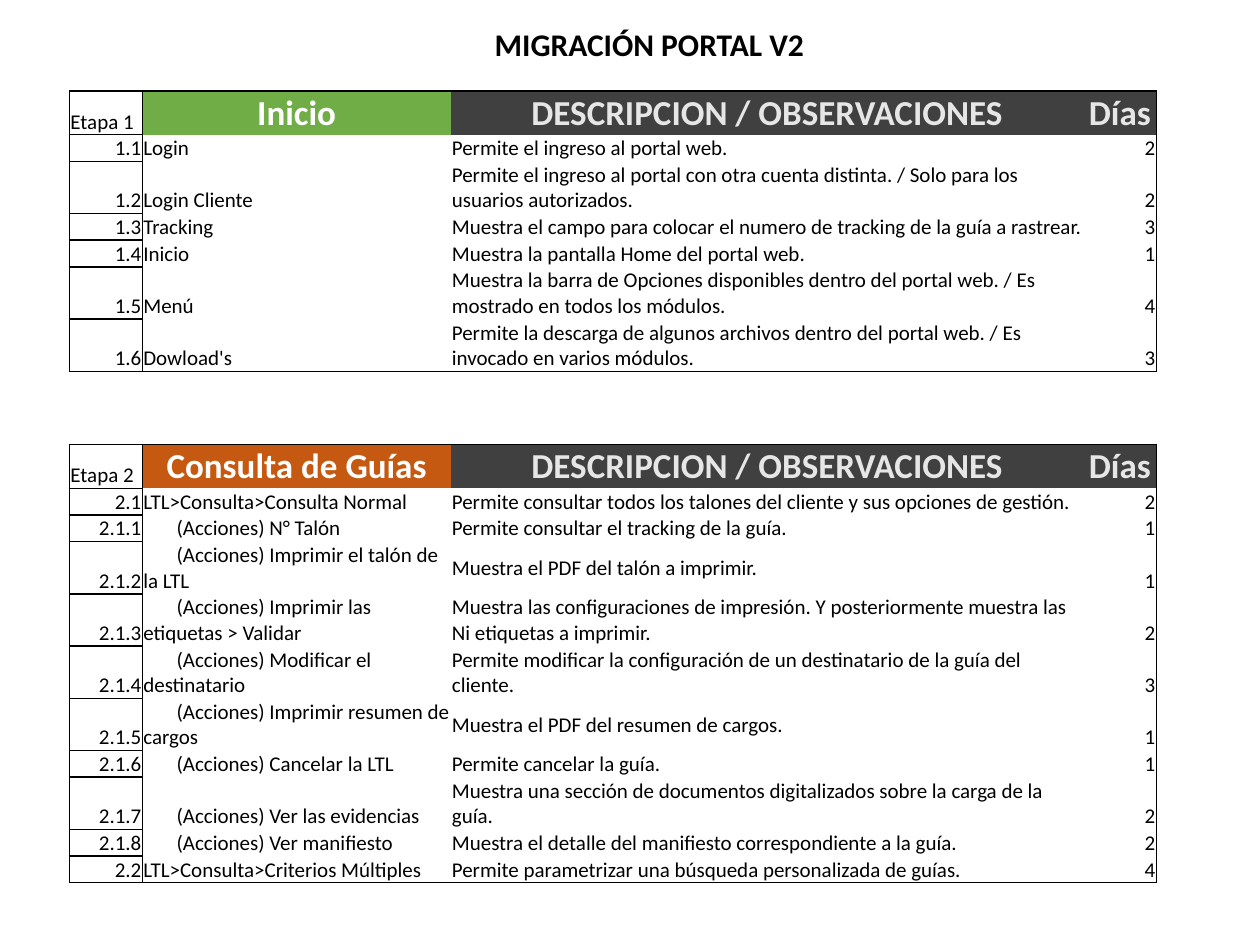
"""Build the portal migration slide with one task table per stage."""
from lxml.etree import SubElement
from pptx import Presentation
from pptx.dml.color import RGBColor
from pptx.enum.text import MSO_ANCHOR, PP_ALIGN
from pptx.oxml import parse_xml
from pptx.oxml.ns import nsdecls, qn
from pptx.util import Cm, Pt


def color(value):
    return RGBColor.from_string(value)


def write_text(paragraph, text, size, hex_color, bold, alignment):
    paragraph.alignment = alignment
    run = paragraph.add_run()
    run.text = text
    run.font.color.rgb = color(hex_color)
    for name, value in {"name": "Calibri", "size": Pt(size), "bold": bold}.items():
        setattr(run.font, name, value)


ACTION = "(Acciones)"
COLUMN_WIDTHS = [1.47, 6.22, 12.75, 1.47]
HEADER_HEIGHT, LINE_HEIGHT = 0.87, 0.52
BODY_ALIGNMENTS = [PP_ALIGN.RIGHT, PP_ALIGN.LEFT, PP_ALIGN.LEFT, PP_ALIGN.RIGHT]
CELL_FORMAT = {
    "margin_left": Cm(0.02),
    "margin_right": Cm(0.02),
    "margin_top": Cm(0.02),
    "margin_bottom": Cm(0),
}

STAGES = [
    {
        "top": 1.83, "name": "Etapa 1", "module": "Inicio", "fill": "70AD47",
        "tasks": [
            (1, "1.1", "Login", "Permite el ingreso al portal web.", "2"),
            (2, "1.2", "Login Cliente", "Permite el ingreso al portal con otra cuenta distinta. / Solo para los usuarios autorizados.", "2"),
            (1, "1.3", "Tracking", "Muestra el campo para colocar el numero de tracking de la guía a rastrear.", "3"),
            (1, "1.4", "Inicio", "Muestra la pantalla Home del portal web.", "1"),
            (2, "1.5", "Menú", "Muestra la barra de Opciones disponibles dentro del portal web. / Es mostrado en todos los módulos.", "4"),
            (2, "1.6", "Dowload's", "Permite la descarga de algunos archivos dentro del portal web. / Es invocado en varios módulos.", "3"),
        ],
    },
    {
        "top": 8.96, "name": "Etapa 2", "module": "Consulta de Guías", "fill": "C65911",
        "tasks": [
            (1, "2.1", "LTL>Consulta>Consulta Normal", "Permite consultar todos los talones del cliente y sus opciones de gestión.", "2"),
            (1, "2.1.1", "(Acciones) N° Talón", "Permite consultar el tracking de la guía.", "1"),
            (2, "2.1.2", "(Acciones) Imprimir el talón de la LTL", "Muestra el PDF del talón a imprimir.", "1"),
            (2, "2.1.3", "(Acciones) Imprimir las etiquetas > Validar", "Muestra las configuraciones de impresión. Y posteriormente muestra las Ni etiquetas a imprimir.", "2"),
            (2, "2.1.4", "(Acciones) Modificar el destinatario", "Permite modificar la configuración de un destinatario de la guía del cliente.", "3"),
            (2, "2.1.5", "(Acciones) Imprimir resumen de cargos", "Muestra el PDF del resumen de cargos.", "1"),
            (1, "2.1.6", "(Acciones) Cancelar la LTL", "Permite cancelar la guía.", "1"),
            (2, "2.1.7", "(Acciones) Ver las evidencias", "Muestra una sección de documentos digitalizados sobre la carga de la guía.", "2"),
            (1, "2.1.8", "(Acciones) Ver manifiesto", "Muestra el detalle del manifiesto correspondiente a la guía.", "2"),
            (1, "2.2", "LTL>Consulta>Criterios Múltiples", "Permite parametrizar una búsqueda personalizada de guías.", "4"),
        ],
    },
]

presentation = Presentation()
presentation.slide_width, presentation.slide_height = Cm(25.4), Cm(19.05)
slide = presentation.slides.add_slide(presentation.slide_layouts[5])

title = slide.shapes.title
for name, value in {"left": 4.34, "top": 0.38, "width": 17.5, "height": 1.02}.items():
    setattr(title, name, Cm(value))
title.text_frame.vertical_anchor = MSO_ANCHOR.MIDDLE
write_text(title.text_frame.paragraphs[0], "MIGRACIÓN PORTAL V2", 18, "000000", True, PP_ALIGN.CENTER)

for stage in STAGES:
    header = [stage["name"], stage["module"], "DESCRIPCION / OBSERVACIONES", "Días"]
    header_fills = [None, stage["fill"], "404040", "404040"]
    header_colors = ["000000", "FFFFFF", "E7E6E6", "E7E6E6"]
    rows = [header] + [task[1:] for task in stage["tasks"]]
    heights = [HEADER_HEIGHT] + [task[0] * LINE_HEIGHT for task in stage["tasks"]]
    last_row, last_column = len(rows) - 1, len(header) - 1

    table = slide.shapes.add_table(
        len(rows), len(header), Cm(1.4), Cm(stage["top"]), Cm(sum(COLUMN_WIDTHS)), Cm(sum(heights))
    ).table
    table.first_row = table.horz_banding = False
    for column, width in zip(table.columns, COLUMN_WIDTHS):
        column.width = Cm(width)
    for row, height in zip(table.rows, heights):
        row.height = Cm(height)

    for i, texts in enumerate(rows):
        for j, text in enumerate(texts):
            cell = table.cell(i, j)
            for name, value in CELL_FORMAT.items():
                setattr(cell, name, value)
            is_description = i > 0 and j == 2
            cell.vertical_anchor = MSO_ANCHOR.MIDDLE if is_description else MSO_ANCHOR.BOTTOM
            paragraph = cell.text_frame.paragraphs[0]
            if i > 0:
                write_text(paragraph, text, 12, "000000", False, BODY_ALIGNMENTS[j])
            elif j == 0:
                write_text(paragraph, text, 12, "000000", False, PP_ALIGN.LEFT)
            else:
                write_text(paragraph, text, 20, header_colors[j], True, PP_ALIGN.CENTER)
            if text.startswith(ACTION):
                properties = paragraph._p.get_or_add_pPr()
                properties.set("marL", "0")
                properties.set("indent", str(Cm(0.67)))

            if i == 0 and header_fills[j]:
                cell.fill.solid()
                cell.fill.fore_color.rgb = color(header_fills[j])
            else:
                cell.fill.background()

            borders = {
                "lnL": j <= 1,
                "lnR": j in (0, last_column),
                "lnT": j == 0 or i == 0,
                "lnB": j == 0 or i == last_row,
            }
            cell_properties = cell._tc.get_or_add_tcPr()
            for position, (tag, visible) in enumerate(borders.items()):
                line = parse_xml(f'<a:{tag} {nsdecls("a")} w="{Pt(1)}"/>')
                fill = SubElement(line, qn("a:solidFill" if visible else "a:noFill"))
                if visible:
                    SubElement(fill, qn("a:srgbClr")).set("val", "000000")
                cell_properties.insert(position, line)

presentation.save("out.pptx")
